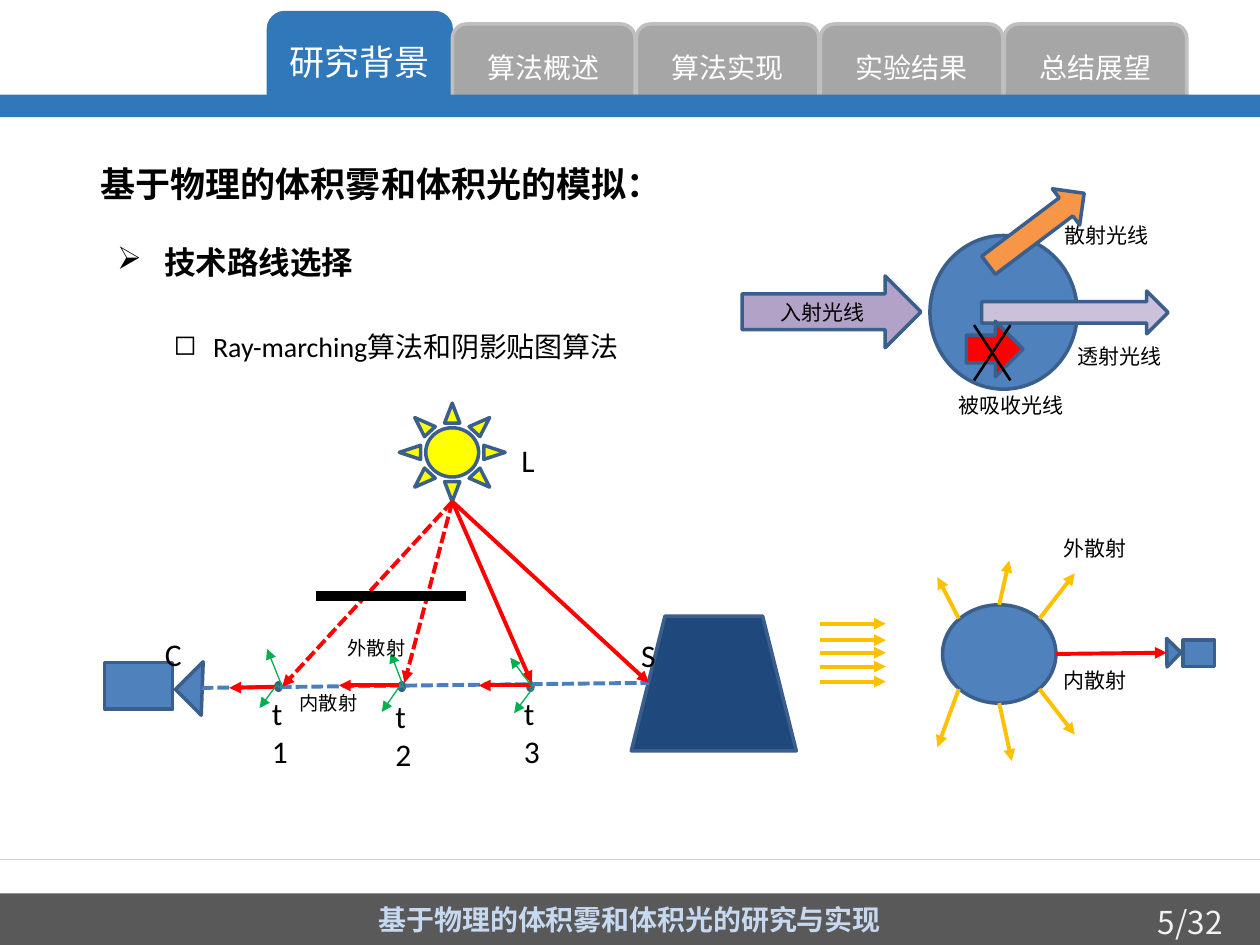
from typing import NamedTuple

from lxml import etree
from pptx import Presentation, util as u
from pptx.dml.color import RGBColor
from pptx.enum import dml, shapes, text
from pptx.oxml import ns

Pt = u.Pt
Kind = shapes.MSO_SHAPE
LATIN, HAN = "Calibri", "Noto Sans CJK SC"
BLUE, EDGE, RED, GREEN, GOLD = "4F81BD", "3A5F8C", "FF0000", "00B050", "FFC000"
ACCENT, BLACK, WHITE = "3078BA", "000000", "FFFFFF"


class Style(NamedTuple):
    size: float
    colour: str = BLACK
    font: str = LATIN
    bold: bool = False


class Figure(NamedTuple):
    kind: Kind
    left: float
    top: float
    width: float
    height: float
    fill: str = BLUE
    edge: str | None = EDGE
    turn: float = 0
    words: str = ""
    style: Style = Style(12)


class Stroke(NamedTuple):
    start: tuple[float, float]
    end: tuple[float, float]
    colour: str
    weight: float = 2.25
    dashed: bool = False
    arrow: bool = True


class Label(NamedTuple):
    words: str
    left: float
    top: float
    width: float
    height: float
    style: Style
    wrap: bool = True
    bullet: str = ""
    indent: float = 0


def colour_of(code: str) -> RGBColor:
    return RGBColor.from_string(code)


def add_child(parent, tag: str, **attributes: str) -> None:
    etree.SubElement(parent, ns.qn(tag), **attributes)


def style_para(para, style: Style) -> None:
    font = para.font
    font.size, font.bold, font.name = Pt(style.size), style.bold, style.font
    font.color.rgb = colour_of(style.colour)
    add_child(font._element, "a:ea", typeface=HAN)


def draw_figure(page, item: Figure) -> None:
    shape = page.shapes.add_shape(item.kind, Pt(item.left), Pt(item.top), Pt(item.width), Pt(item.height))
    shape.shadow.inherit = False
    shape.rotation = item.turn
    shape.fill.solid()
    shape.fill.fore_color.rgb = colour_of(item.fill)
    if item.edge:
        shape.line.color.rgb = colour_of(item.edge)
        shape.line.width = Pt(2)
    else:
        shape.line.fill.background()
    if item.words:
        shape.text_frame.vertical_anchor = text.MSO_ANCHOR.MIDDLE
        para = shape.text_frame.paragraphs[0]
        para.text = item.words
        para.alignment = text.PP_ALIGN.CENTER
        style_para(para, item.style)


def draw_stroke(page, item: Stroke) -> None:
    points = (Pt(value) for value in item.start + item.end)
    line = page.shapes.add_connector(shapes.MSO_CONNECTOR.STRAIGHT, *points)
    line.line.color.rgb = colour_of(item.colour)
    line.line.width = Pt(item.weight)
    if item.dashed:
        line.line.dash_style = dml.MSO_LINE.SQUARE_DOT
    properties = line._element.spPr
    if item.arrow:
        add_child(properties.find(ns.qn("a:ln")), "a:tailEnd", type="triangle")
    add_child(properties, "a:effectLst")


def draw_label(page, item: Label) -> None:
    box = page.shapes.add_textbox(Pt(item.left), Pt(item.top), Pt(item.width), Pt(item.height))
    frame = box.text_frame
    frame.word_wrap = item.wrap
    frame.auto_size = text.MSO_AUTO_SIZE.SHAPE_TO_FIT_TEXT
    para = frame.paragraphs[0]
    para.text = item.words
    if item.bullet:
        properties = para._p.get_or_add_pPr()
        properties.set("marL", str(Pt(item.indent)))
        properties.set("indent", str(-Pt(item.indent)))
        add_child(properties, "a:buChar", char=item.bullet)
    style_para(para, item.style)


def draw_all(page, items: list) -> None:
    painters = {Figure: draw_figure, Stroke: draw_stroke, Label: draw_label}
    for item in items:
        painters[type(item)](page, item)


def navigation() -> list:
    tabs = [Figure(Kind.ROUNDED_RECTANGLE, 153.4, 7.2, 104.4, 56.2, ACCENT, ACCENT,
                   words="研究背景", style=Style(20, WHITE, HAN))]
    for index, name in enumerate(("算法概述", "算法实现", "实验结果", "总结展望")):
        tabs.append(Figure(Kind.ROUNDED_RECTANGLE, 258.5 + 105.1 * index, 13.7, 104.4, 49,
                           "A6A6A6", "BFBFBF", words=name, style=Style(16, WHITE, HAN)))
    return tabs + [Figure(Kind.RECTANGLE, 0, 54, 720, 13, ACCENT, None)]


def footer() -> list:
    return [
        Stroke((0, 491), (720, 491), "D0D0D0", 0.5, arrow=False),
        Figure(Kind.RECTANGLE, 0, 510.5, 720, 29.5, "595959", None,
               words="基于物理的体积雾和体积光的研究与实现", style=Style(16, "C6D9F1", HAN, True)),
        Label("5/32", 654.5, 512.6, 65.5, 28.8, Style(18, "F2F2F2", HAN)),
    ]


def headings() -> list:
    return [
        Label("基于物理的体积雾和体积光的模拟：", 50.4, 89.3, 349.2, 31.7, Style(20, bold=True)),
        Label("技术路线选择", 59.8, 135.4, 234.7, 28.8, Style(18, bold=True), bullet="➢", indent=27),
        Label("Ray-marching算法和阴影贴图算法", 92.2, 185, 578.2, 26.6, Style(16), bullet="◻", indent=22.5),
    ]


def ray_marching() -> list:
    sun, surface = (258.5, 286.6), (370.8, 390.2)
    items = [
        Figure(Kind.SUN, 228.2, 230.4, 60.5, 56.2, "FFFF00"),
        Figure(Kind.TRAPEZOID, 360.7, 352.1, 94.3, 77, "1F497D"),
        Figure(Kind.RECTANGLE, 59.8, 378.7, 38.9, 26.6),
        Figure(Kind.RIGHT_TRIANGLE, 105.1, 382.3, 20.9, 22.3, turn=45.2),
    ]
    items += [Figure(Kind.OVAL, left, 390.2, 2.9, 4.3) for left in (157.7, 228.2, 301.7)]
    # View ray, light rays and the blocker
    items.append(Stroke((115.2, 393.1), surface, "4B7EBC", dashed=True, arrow=False))
    items += [Stroke(sun, end, RED, dashed=dashed) for end, dashed in (
        (surface, False), ((303.8, 390.2), False), ((231.1, 390.2), True), ((161.3, 392.4), True))]
    items.append(Stroke((180.7, 340.6), (266.4, 340.6), BLACK, 6, arrow=False))
    # In-scattering towards the camera, then out-scattering
    items += [Stroke(start, end, RED) for start, end in (
        ((157.7, 392.4), (131, 393.1)), ((228.2, 391.7), (193.7, 391.7)), ((303.8, 391.7), (273.6, 391.7)))]
    items += [Stroke(start, end, GREEN, 0.75) for start, end in (
        ((161.3, 392.4), (152.6, 370.8)), ((158.4, 391), (148.3, 404.6)),
        ((231.1, 393.8), (223.2, 373)), ((228.2, 392.4), (218.2, 406.8)),
        ((304.6, 393.1), (291.6, 375.8)), ((304.6, 393.1), (293.8, 407.5)))]
    items += [Label(name, left, top, width, 23, Style(18)) for name, left, top, width in (
        ("t1", 148.3, 393.1, 25.2), ("t2", 218.9, 394.6, 25.2), ("t3", 292.3, 393.1, 25.2),
        ("L", 290.9, 248.4, 18.7), ("S", 359.3, 360, 19.4), ("C", 87.1, 359.3, 20.2))]
    items += [Label(name, left, top, 47.5, 20.9, Style(11), wrap=False) for name, left, top in (
        ("内散射", 164.2, 391.7), ("外散射", 191.5, 360))]
    return items


def light_paths() -> list:
    left, top, right, bottom = 556.6, 185.8, 577.4, 217.4
    items = [
        Figure(Kind.OVAL, 531.4, 134.6, 84.2, 87.8),
        Figure(Kind.RIGHT_ARROW, 424.1, 157.7, 102.2, 41, "B3A2C7", words="入射光线"),
        Figure(Kind.RIGHT_ARROW, 558, 118.1, 68.4, 25.9, "F79646", turn=323),
        Figure(Kind.RIGHT_ARROW, 560.9, 166.3, 106.6, 24.5, "CCC1DA"),
        Figure(Kind.RIGHT_ARROW, 552.2, 183.6, 32.4, 31.7, RED),
        Stroke((left, top), (right, bottom), BLACK, 1.5, arrow=False),
        Stroke((left, bottom), (right, top), BLACK, 1.5, arrow=False),
    ]
    items += [Label(name, x, y, width, 21.6, Style(12), wrap=False) for name, x, y, width in (
        ("散射光线", 601.2, 123.8, 63.4), ("透射光线", 608.4, 193, 63.4), ("被吸收光线", 540.7, 221, 74.9))]
    return items


def scattering() -> list:
    items = [Stroke((468.7, y), (506.2, y), GOLD) for y in (356.4, 365.8, 373, 380.9, 389.5)]
    items += [
        Figure(Kind.RECTANGLE, 676.1, 365.8, 18, 15.1),
        Figure(Kind.RIGHT_TRIANGLE, 661, 367.2, 11.5, 11.5, turn=224.1),
        Figure(Kind.OVAL, 538.6, 345.6, 64.8, 56.2),
    ]
    items += [Stroke(start, end, GOLD) for start, end in (
        ((571, 345.6), (576.7, 320.4)), ((571, 401.8), (578.2, 434.9)),
        ((547.9, 353.5), (535.7, 329.8)), ((594, 353.5), (614.2, 327.6)),
        ((547.9, 393.8), (535.7, 427)), ((594, 393.8), (614.2, 419.8)))]
    items.append(Stroke((603.4, 373.7), (666.7, 373), RED))
    items += [Label(name, 600.5, top, 51.1, 21.6, Style(12), wrap=False)
              for name, top in (("外散射", 302.4), ("内散射", 378))]
    return items


def main() -> None:
    deck = Presentation()
    deck.slide_width, deck.slide_height = Pt(720), Pt(540)
    page = deck.slides.add_slide(deck.slide_layouts[6])
    for part in (ray_marching, navigation, footer, headings, light_paths, scattering):
        draw_all(page, part())
    deck.save("out.pptx")


if __name__ == "__main__":
    main()
